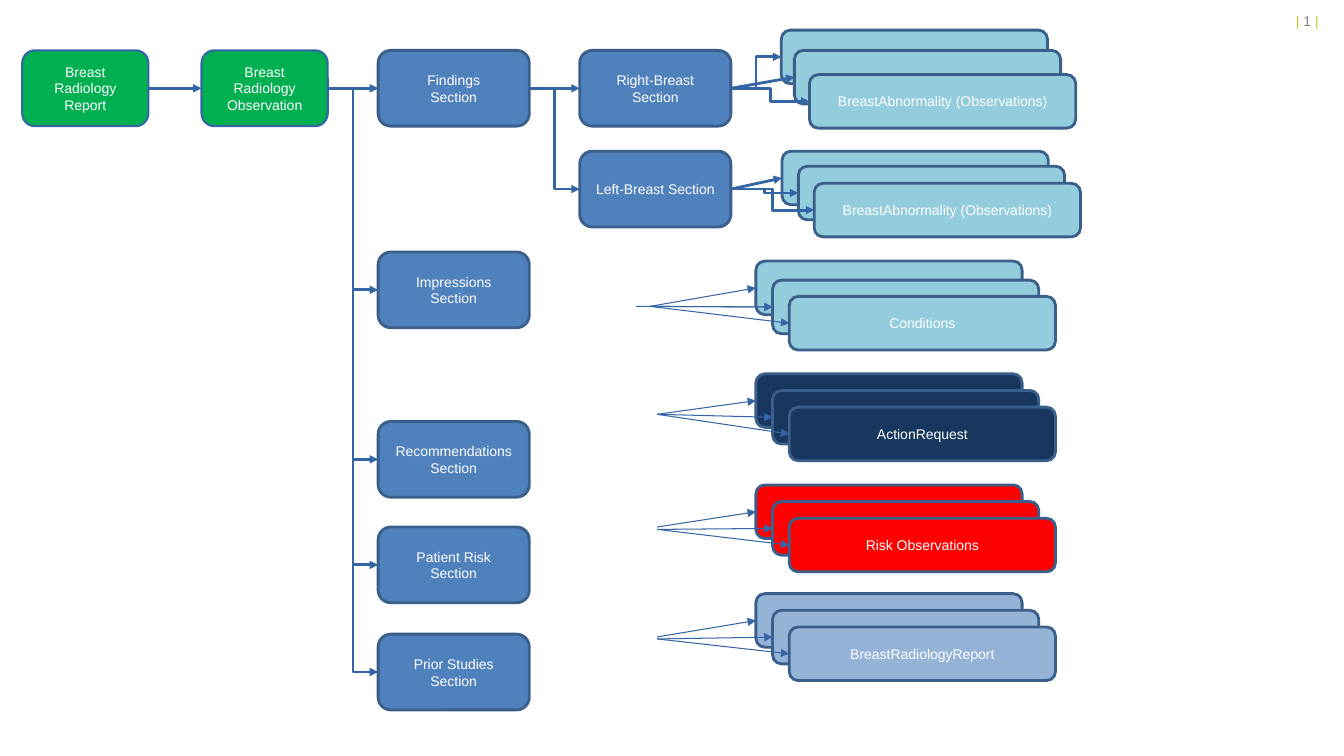
"""Draw the map of a breast radiology report, its sections and observations."""
from dataclasses import dataclass

from lxml.etree import SubElement
from pptx import Presentation
from pptx.dml.color import RGBColor
from pptx.enum.shapes import MSO_CONNECTOR, MSO_SHAPE
from pptx.enum.text import MSO_ANCHOR, PP_ALIGN
from pptx.oxml.ns import qn
from pptx.util import Cm, Pt


@dataclass
class Theme:
    green: str = "00B050"
    blue: str = "4F81BD"
    aqua: str = "93CDDD"
    navy: str = "17375E"
    red: str = "FF0000"
    pale: str = "95B3D7"
    edge: str = "3A5F8B"
    wire: str = "3465A4"
    white: str = "FFFFFF"
    lime: str = "C1CD23"
    gray: str = "808080"
    font: str = "Arial"
    size: float = 10


theme = Theme()
deck = Presentation()
deck.slide_width, deck.slide_height = Cm(33.87), Cm(19.05)
slide = deck.slides.add_slide(deck.slide_layouts[6])
shapes = slide.shapes


def add_box(text, left, top, wide, high, fill, edge=theme.edge, thick=2, pad=0.25):
    box = shapes.add_shape(
        MSO_SHAPE.ROUNDED_RECTANGLE, Cm(left), Cm(top), Cm(wide), Cm(high))
    box.shadow.inherit = False
    box.fill.solid()
    box.fill.fore_color.rgb = RGBColor.from_string(fill)
    box.line.color.rgb = RGBColor.from_string(edge)
    box.line.width = Pt(thick)
    frame = box.text_frame
    frame.word_wrap = True
    frame.vertical_anchor = MSO_ANCHOR.MIDDLE
    frame.margin_left = frame.margin_right = Cm(pad)
    frame.text = text
    for line in frame.paragraphs:
        line.alignment = PP_ALIGN.CENTER
        for run in line.runs:
            run.font.name = theme.font
            run.font.size = Pt(theme.size)
            run.font.color.rgb = RGBColor.from_string(theme.white)
    return box


def add_link(end, start=None, spot=(0, 0), thick=0):
    bent = start is not None and start.top != end.top
    kind = MSO_CONNECTOR.ELBOW if bent else MSO_CONNECTOR.STRAIGHT
    link = shapes.add_connector(
        kind, Cm(spot[0]), Cm(spot[1]), end.left, end.top + end.height // 2)
    if start is not None:
        link.begin_connect(start, 3)
    link.end_connect(end, 1)
    link.line.color.rgb = RGBColor.from_string(theme.wire)
    link.line.width = Pt(thick)
    SubElement(link.line._get_or_add_ln(), qn("a:tailEnd"), type="triangle")
    SubElement(link._element.spPr, qn("a:effectLst"))


report, study = [
    add_box(text, left, 1.27, 3.18, 1.91, theme.green, theme.wire, 1.5, 0.28)
    for text, left in (("Breast Radiology Report", 0.56),
                       ("Breast Radiology Observation", 5.08))]
add_link(study, report)

parts = []
for text, top in (("Findings\nSection", 1.27), ("Impressions Section", 6.35),
                  ("Recommendations Section", 10.62),
                  ("Patient Risk\nSection", 13.28),
                  ("Prior Studies\nSection", 15.98)):
    part = add_box(text, 9.53, top, 3.81, 1.91, theme.blue)
    add_link(part, study)
    parts.append(part)

sides = []
for text, top in (("Right-Breast Section", 1.27), ("Left-Breast Section", 3.81)):
    side = add_box(text, 14.61, top, 3.81, 1.91, theme.blue)
    add_link(side, parts[0])
    sides.append(side)

step = 0.42
low = [19.05 + step * n for n in range(3)]
finding = "BreastAbnormality (Observations)"
stacks = [
    (finding, theme.aqua, (19.69, 20.02, 20.4), (0.76, 1.27, 1.88), sides[0], ()),
    (finding, theme.aqua, (19.71, 20.12, 20.52), (3.81, 4.19, 4.62), sides[1], ()),
    ("Conditions", theme.aqua, low, (6.58, 7.06, 7.47), None,
     (16.38, 7.72, 7.72)),
]
for text, fill, top, fan in (
        ("ActionRequest", theme.navy, 9.42, (16.56, 10.44, 10.44)),
        ("Risk Observations", theme.red, 12.22, (16.56, 13.28, 13.34)),
        ("BreastRadiologyReport", theme.pale, 14.96, (16.56, 16.05, 16.1))):
    tops = [top + step * n for n in range(3)]
    stacks.append((text, fill, low, tops, None, fan))

for text, fill, lefts, tops, side, fan in stacks:
    cards = [add_box(label, left, top, 6.71, 1.35, fill)
             for label, left, top in zip(("", "", text), lefts, tops)]
    for rank, card in enumerate(cards):
        if side is not None:
            add_link(card, side)
        else:
            add_link(card, spot=(fan[0], fan[min(rank, 1) + 1]), thick=0.75)
    if text == "Conditions":
        add_link(cards[1], spot=(16.03, 7.72), thick=0.75)

page = shapes.add_textbox(Cm(27.64), Cm(0.18), Cm(5.94), Cm(0.69))
page.text_frame.word_wrap = True
line = page.text_frame.paragraphs[0]
line.alignment = PP_ALIGN.RIGHT
line.space_after = Pt(6)
for text, tint in (("| ", theme.lime), ("1 ", theme.gray), ("| ", theme.lime)):
    run = line.add_run()
    run.text = text
    run.font.name = theme.font
    run.font.size = Pt(theme.size)
    run.font.color.rgb = RGBColor.from_string(tint)

deck.save("out.pptx")
